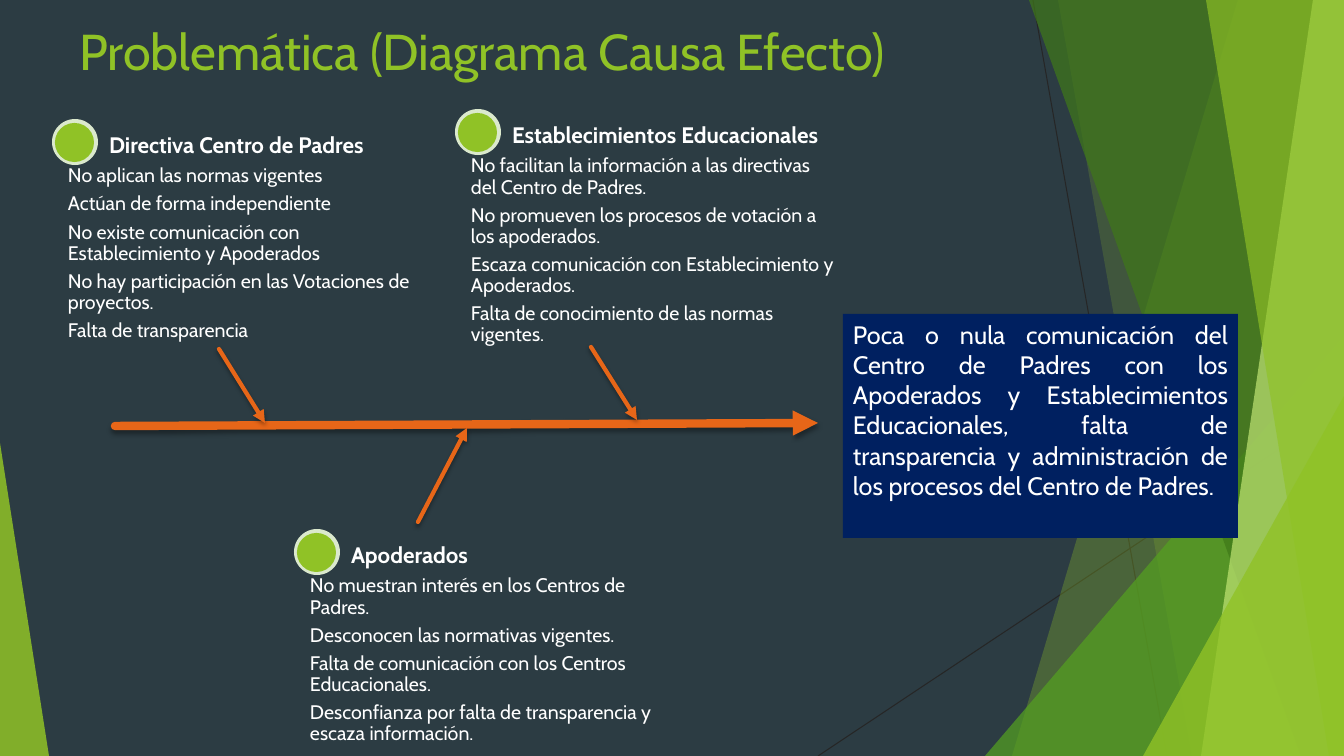
from dataclasses import dataclass

from lxml.etree import SubElement
from pptx import Presentation
from pptx.dml.color import RGBColor
from pptx.enum.shapes import MSO_CONNECTOR as Connector, MSO_SHAPE as Preset
from pptx.enum.text import MSO_ANCHOR as Anchor, MSO_AUTO_SIZE as AutoSize, PP_ALIGN as Align
from pptx.oxml.ns import qn
from pptx.util import Pt

PIXEL = 914400 / 100.8
WIDTH, HEIGHT = 1344, 756


def px(*lengths):
    return [round(length * PIXEL) for length in lengths]


@dataclass(frozen=True)
class Theme:
    font: str = "Cabin"
    background: str = "2C3C43"
    green: str = "90C226"
    mid_green: str = "54A021"
    dark_green: str = "3F7819"
    light_green: str = "C0E474"
    ring: str = "DBE9CD"
    thin: str = "262626"
    arrow: str = "E76618"
    effect: str = "002060"
    text: str = "FFFFFF"
    title_size: int = 36
    effect_size: int = 18
    heading_size: int = 16
    body_size: int = 14


class SlideBuilder:
    def __init__(self, slide, theme):
        self.slide = slide
        self.theme = theme
        slide.background.fill.solid()
        slide.background.fill.fore_color.rgb = RGBColor.from_string(theme.background)

    def paint(self, shape, color, opacity=100, outline=None):
        shape.shadow.inherit = False
        shape.fill.solid()
        shape.fill.fore_color.rgb = RGBColor.from_string(color)
        if opacity < 100:
            fill = shape.element.spPr.find(qn("a:solidFill"))
            SubElement(fill[0], qn("a:alpha"), val=str(opacity * 1000))
        if outline:
            shape.line.color.rgb = RGBColor.from_string(outline)
            shape.line.width = Pt(1.5)
        else:
            shape.line.fill.background()

    def preset(self, kind, box, color, opacity=100, outline=None, apex=None):
        shape = self.slide.shapes.add_shape(kind, *px(*box))
        if apex is not None:
            shape.adjustments[0] = apex
        self.paint(shape, color, opacity, outline)
        return shape

    def band(self, top_left, bottom_left, color, opacity):
        builder = self.slide.shapes.build_freeform(top_left, 0, PIXEL)
        corners = [(WIDTH, 0), (WIDTH, HEIGHT), (bottom_left, HEIGHT)]
        builder.add_line_segments(corners, close=True)
        self.paint(builder.convert_to_shape(), color, opacity)

    def line(self, start, end, color, width, arrow=False):
        line = self.slide.shapes.add_connector(Connector.STRAIGHT, *px(*start, *end))
        line.line.color.rgb = RGBColor.from_string(color)
        line.line.width = Pt(width)
        properties = line.element.spPr
        effects = SubElement(properties, qn("a:effectLst"))
        if arrow:
            outline = properties.find(qn("a:ln"))
            outline.set("cap", "rnd")
            SubElement(outline, qn("a:tailEnd"), type="triangle")
            shadow = SubElement(effects, qn("a:outerShdw"), blurRad=str(Pt(3)),
                                dist=str(Pt(2)), dir="5400000", rotWithShape="0")
            black = SubElement(shadow, qn("a:srgbClr"), val="000000")
            SubElement(black, qn("a:alpha"), val="35000")

    def set_text(self, shape, paragraphs, size, color=None, bold=False,
                 align=Align.LEFT, anchor=Anchor.TOP, inset=None, tight=False):
        frame = shape.text_frame
        frame.word_wrap = True
        frame.auto_size = AutoSize.NONE
        frame.vertical_anchor = anchor
        if inset is not None:
            frame.margin_left = frame.margin_top = px(inset)[0]
            frame.margin_right = frame.margin_bottom = px(inset)[0]
        frame.text = "\n".join(paragraphs)
        for paragraph in frame.paragraphs:
            paragraph.alignment = align
            paragraph.font.name = self.theme.font
            paragraph.font.size = Pt(size)
            paragraph.font.bold = bold
            paragraph.font.color.rgb = RGBColor.from_string(color or self.theme.text)
            if tight:
                paragraph.line_spacing = 0.9
                paragraph.space_after = Pt(size * 0.35)

    def title(self, box, text):
        shape = self.slide.shapes.title
        shape.left, shape.top, shape.width, shape.height = px(*box)
        self.set_text(shape, [text], self.theme.title_size, self.theme.green)

    def text(self, box, paragraphs, size, **style):
        shape = self.slide.shapes.add_textbox(*px(*box))
        self.set_text(shape, paragraphs, size, inset=4, tight=True, **style)

    def cause(self, left, top, heading, reasons):
        theme = self.theme
        self.preset(Preset.OVAL, (left, top, 46, 46), theme.ring)
        self.preset(Preset.OVAL, (left + 4, top + 5, 37, 37), theme.green, outline=theme.green)
        self.text((left + 12, top + 43, 372, 195), reasons, theme.body_size)
        self.text((left + 53, top - 3, 345, 46), [heading], theme.heading_size,
                  bold=True, anchor=Anchor.BOTTOM)

    def effect(self, box, text):
        shape = self.preset(Preset.RECTANGLE, box, self.theme.effect)
        self.set_text(shape, [text], self.theme.effect_size, align=Align.JUSTIFY)


theme = Theme()
presentation = Presentation()
presentation.slide_width, presentation.slide_height = px(WIDTH, HEIGHT)
page = SlideBuilder(presentation.slides.add_slide(presentation.slide_layouts[5]), theme)

page.line((1033, 0), (1167, 756), theme.thin, 0.75)
page.line((1344, 406), (818, 756), theme.thin, 0.75)
page.band(1238, 1012, theme.green, 30)
page.band(1058, 1192, theme.green, 20)
page.preset(Preset.ISOSCELES_TRIANGLE, (985, 336, 359, 420), theme.mid_green, 72, apex=1)
page.band(1029, 1301, theme.dark_green, 70)
page.band(1313, 1201, theme.light_green, 70)
page.band(1206, 1329, theme.green, 65)
page.preset(Preset.ISOSCELES_TRIANGLE, (1143, 396, 201, 360), theme.green, 80, apex=1)
page.preset(Preset.ISOSCELES_TRIANGLE, (0, 443, 49, 313), theme.green, 85, apex=0)

page.title((69, 15, 948, 92), "Problemática (Diagrama Causa Efecto)")

CAUSES = [
    (52, 119, "Directiva Centro de Padres", [
        "No aplican las normas vigentes",
        "Actúan de forma independiente",
        "No existe comunicación con Establecimiento y Apoderados",
        "No hay participación en las Votaciones de proyectos.",
        "Falta de transparencia",
    ]),
    (455, 109, "Establecimientos Educacionales", [
        "No facilitan la información a las directivas del Centro de Padres.",
        "No promueven los procesos de votación a los apoderados.",
        "Escaza comunicación con Establecimiento y Apoderados.",
        "Falta de conocimiento de las normas vigentes.",
    ]),
    (294, 529, "Apoderados", [
        "No muestran interés en los Centros de Padres.",
        "Desconocen las normativas vigentes.",
        "Falta de comunicación con los Centros Educacionales.",
        "Desconfianza por falta de transparencia y escaza información.",
    ]),
]
for cause in CAUSES:
    page.cause(*cause)

page.line((115, 426), (818, 423), theme.arrow, 6, arrow=True)
page.effect((843, 314, 395, 224),
            "Poca o nula comunicación del Centro de Padres con los Apoderados y "
            "Establecimientos Educacionales, falta de transparencia y administración "
            "de los procesos del Centro de Padres.")
BRANCHES = [((219, 349), (265, 423)), ((591, 347), (637, 420)), ((418, 522), (467, 428))]
for start, end in BRANCHES:
    page.line(start, end, theme.arrow, 3, arrow=True)

presentation.save("out.pptx")
